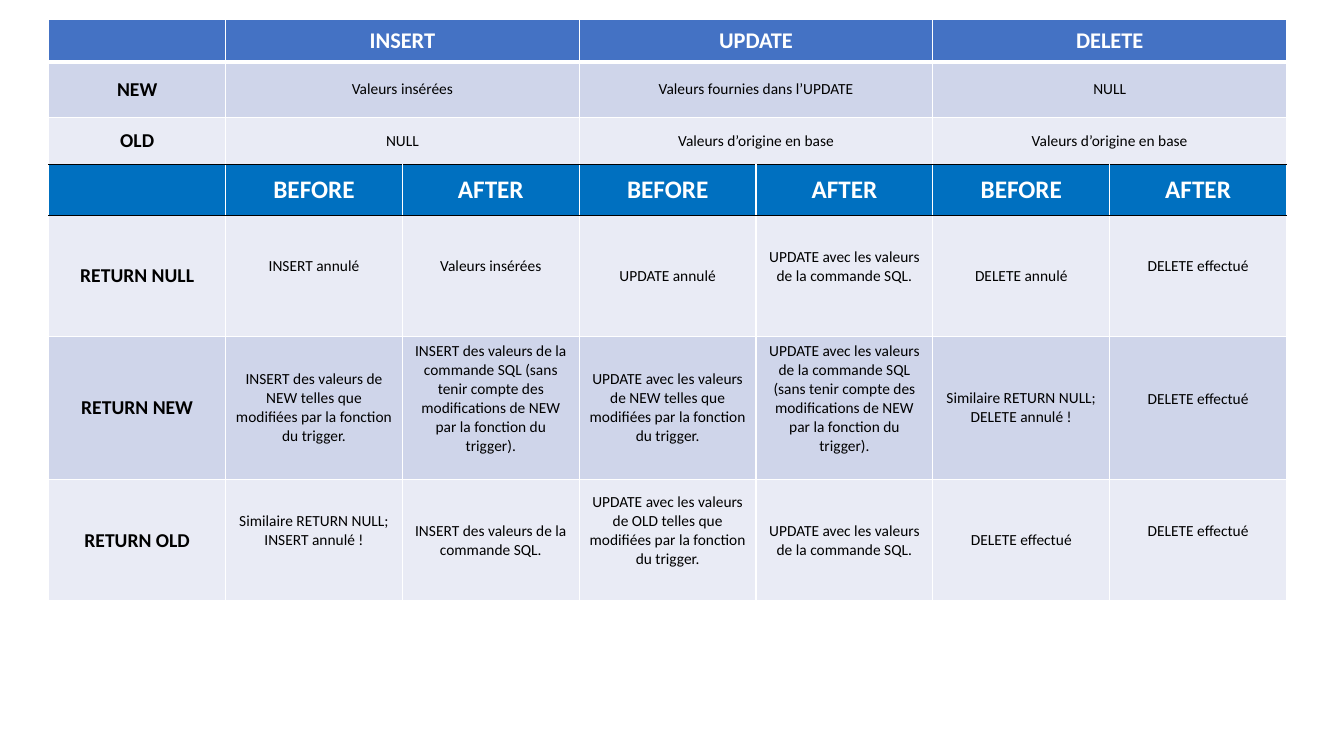
from lxml.etree import SubElement
from pptx import Presentation
from pptx.dml.color import RGBColor
from pptx.enum.text import MSO_ANCHOR, PP_ALIGN
from pptx.oxml.ns import qn
from pptx.util import Cm, Pt

WHITE, BLACK = "FFFFFF", "000000"
EVENT_BLUE, TIMING_BLUE = "4472C4", "0070C0"
DARK_BAND, LIGHT_BAND = "CFD5EA", "E9EBF5"

COLUMN_WIDTH = 4.456
ROW_HEIGHTS = [1.07, 1.4, 1.19, 1.28, 3.05, 3.61, 3.05]
ROW_FILLS = [EVENT_BLUE, DARK_BAND, LIGHT_BAND, TIMING_BLUE,
             LIGHT_BAND, DARK_BAND, LIGHT_BAND]
HEADER_SIZES = {0: 16, 3: 18}

# Rules below the rows that differ from the thin white grid
RULES_BELOW = {0: (WHITE, 3), 2: (BLACK, 1), 3: (BLACK, 1)}

# Rows with four entries span two columns per event
ROWS = [
    ["", "INSERT", "UPDATE", "DELETE"],
    ["NEW", "Valeurs insérées", "Valeurs fournies dans l’UPDATE", "NULL"],
    ["OLD", "NULL", "Valeurs d’origine en base", "Valeurs d’origine en base"],
    [""] + ["BEFORE", "AFTER"] * 3,
    ["RETURN NULL", "INSERT annulé", "Valeurs insérées", "UPDATE annulé",
     "UPDATE avec les valeurs de la commande SQL.",
     "DELETE annulé", "DELETE effectué"],
    ["RETURN NEW",
     "INSERT des valeurs de NEW telles que modifiées par la fonction du trigger.",
     "INSERT des valeurs de la commande SQL (sans tenir compte des "
     "modifications de NEW par la fonction du trigger).",
     "UPDATE avec les valeurs de NEW telles que modifiées par la fonction du trigger.",
     "UPDATE avec les valeurs de la commande SQL (sans tenir compte des "
     "modifications de NEW par la fonction du trigger).",
     "Similaire RETURN NULL;\nDELETE annulé !", "DELETE effectué"],
    ["RETURN OLD", "Similaire RETURN NULL;\nINSERT annulé !",
     "INSERT des valeurs de la commande SQL.",
     "UPDATE avec les valeurs de OLD telles que modifiées par la fonction du trigger.",
     "UPDATE avec les valeurs de la commande SQL.",
     "DELETE effectué", "DELETE effectué"],
]

# Columns whose text sits half a line above the middle, by row
RAISED_COLUMNS = {4: {1, 2, 4, 6}, 5: {2, 4, 6}, 6: {1, 3, 6}}


def color(value):
    return RGBColor.from_string(value)


class TableSlide:
    """Holds the slide and its text style."""

    def __init__(self, presentation, font="Calibri"):
        self.slide = presentation.slides.add_slide(presentation.slide_layouts[6])
        self.font = font

    def table(self, left, top, column_count, column_width, row_heights):
        frame = self.slide.shapes.add_table(
            len(row_heights), column_count, Cm(left), Cm(top),
            Cm(column_width * column_count), Cm(sum(row_heights)))
        table = frame.table
        for column in table.columns:
            column.width = Cm(column_width)
        for row, height in zip(table.rows, row_heights):
            row.height = Cm(height)
        return table

    def borders(self, cell, above, below):
        properties = cell._tc.get_or_add_tcPr()
        side = (WHITE, 1)
        edges = {"lnL": side, "lnR": side, "lnT": above, "lnB": below}
        for name, (line_color, width) in edges.items():
            line = SubElement(properties, qn(f"a:{name}"), w=str(Pt(width)))
            fill = SubElement(line, qn("a:solidFill"))
            SubElement(fill, qn("a:srgbClr"), val=line_color)

    def fill(self, cell, fill_color):
        cell.fill.solid()
        cell.fill.fore_color.rgb = color(fill_color)

    def text(self, cell, content, size, text_color, bold, raised):
        cell.vertical_anchor = MSO_ANCHOR.MIDDLE
        if raised:
            cell.margin_bottom = Cm(0.6)
        for index, line in enumerate(content.split("\n")):
            text_frame = cell.text_frame
            paragraph = text_frame.add_paragraph() if index else text_frame.paragraphs[0]
            paragraph.alignment = PP_ALIGN.CENTER
            run = paragraph.add_run()
            run.text = line
            run.font.name = self.font
            run.font.size = Pt(size)
            run.font.bold = bold
            run.font.color.rgb = color(text_color)


def main():
    presentation = Presentation()
    presentation.slide_width, presentation.slide_height = Cm(33.87), Cm(19.05)
    page = TableSlide(presentation)
    column_count = max(len(entries) for entries in ROWS)
    table = page.table(1.23, 0.49, column_count, COLUMN_WIDTH, ROW_HEIGHTS)

    for row, entries in enumerate(ROWS):
        # Fills and rules of the whole row
        for column in range(column_count):
            cell = table.cell(row, column)
            page.borders(cell, RULES_BELOW.get(row - 1, (WHITE, 1)),
                         RULES_BELOW.get(row, (WHITE, 1)))
            page.fill(cell, ROW_FILLS[row])

        # Texts, with merged cells where an entry covers both timings
        merged = len(entries) < column_count
        for index, content in enumerate(entries):
            column = 2 * index - 1 if merged and index else index
            cell = table.cell(row, column)
            if merged and index:
                cell.merge(table.cell(row, column + 1))
            if content:
                header = row in HEADER_SIZES
                size = HEADER_SIZES.get(row, 11 if index else 14)
                page.text(cell, content, size, WHITE if header else BLACK,
                          header or index == 0,
                          column in RAISED_COLUMNS.get(row, ()))

    presentation.save("out.pptx")


if __name__ == "__main__":
    main()
